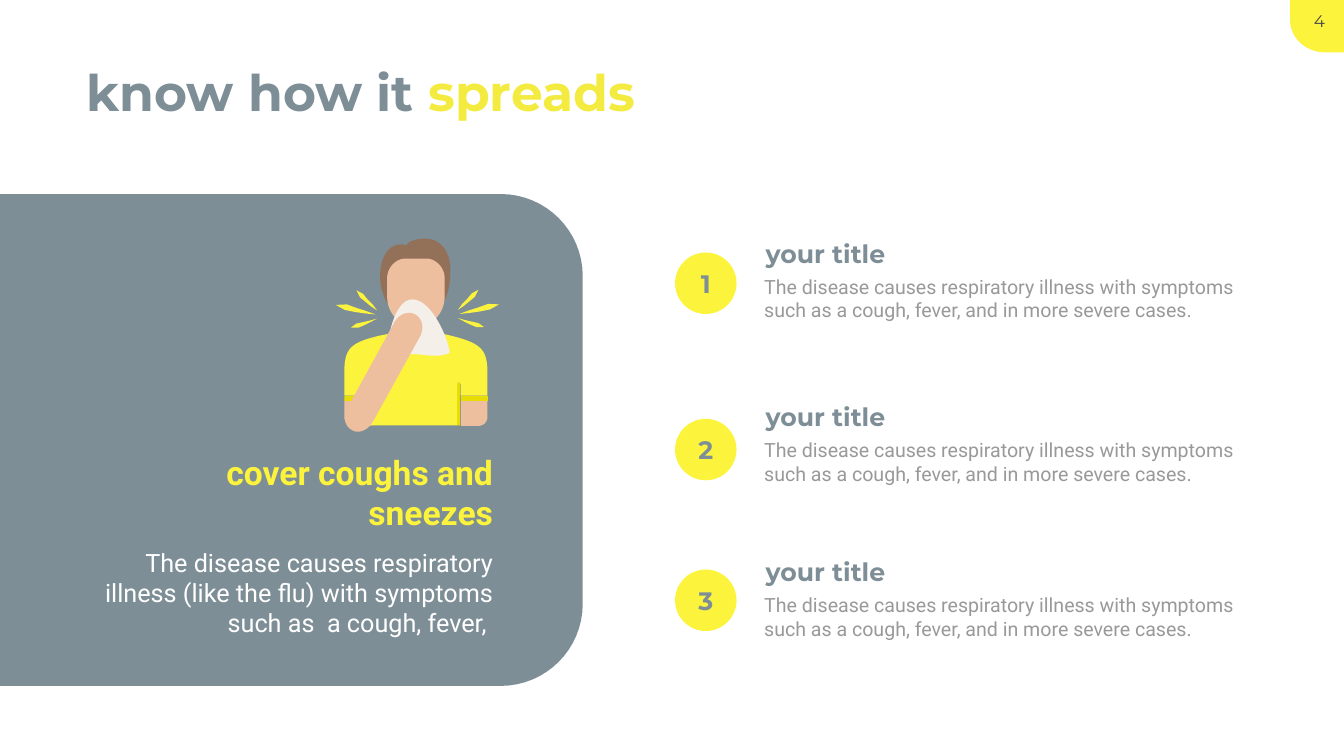
import pptx
import pptx.dml.color
import pptx.enum.shapes
import pptx.enum.text
import pptx.util

PX = 9144  # EMU per px: 100 px to the inch
YELLOW, SLATE, SKIN, WHITE = "FCF33D", "7E8E96", "EDBF9F", "FFFFFF"
DARK_YELLOW = "E7DC04"
ALIGN = pptx.enum.text.PP_ALIGN
ANCHOR = pptx.enum.text.MSO_ANCHOR
SHAPE = pptx.enum.shapes.MSO_SHAPE


def color(value):
    return pptx.dml.color.RGBColor.from_string(value)


def px(*values):
    return [pptx.util.Emu(value * PX) for value in values]


def paint(shape, fill):
    shape.shadow.inherit = False
    shape.fill.solid()
    shape.fill.fore_color.rgb = color(fill)
    shape.line.fill.background()
    return shape


def preset(slide, kind, left, top, width, height, fill):
    return paint(slide.shapes.add_shape(kind, *px(left, top, width, height)), fill)


def outline(slide, left, top, steps, fill):
    """Closed outline: a pair is a corner, six numbers are a Bezier curve."""
    points = []
    for step in steps:
        if len(step) == 2:
            points.append(step)
            continue
        start, first, second, end = points[-1], step[:2], step[2:4], step[4:]
        for i in range(1, 17):
            t = i / 16
            u = 1 - t
            points.append(tuple(
                u**3 * a + 3 * u * u * t * b + 3 * u * t * t * c + t**3 * d
                for a, b, c, d in zip(start, first, second, end)))
    points = [((left + x) * PX, (top + y) * PX) for x, y in points]
    builder = slide.shapes.build_freeform(*points[0])
    builder.add_line_segments(points[1:], close=True)
    return paint(builder.convert_to_shape(), fill)


def write(shape, runs, font, size, align=ALIGN.LEFT, bold=False, wrap=True, anchor=ANCHOR.TOP):
    frame = shape.text_frame
    frame.word_wrap = wrap
    frame.vertical_anchor = anchor
    paragraph = frame.paragraphs[0]
    paragraph.alignment = align
    for text, tint in runs:
        run = paragraph.add_run()
        run.text = text
        run.font.name = font
        run.font.size = pptx.util.Pt(size)
        run.font.bold = bold
        run.font.color.rgb = color(tint)


def text_box(slide, left, top, width, height, text, tint, font, size, **style):
    box = slide.shapes.add_textbox(*px(left, top, width, height))
    write(box, [(text, tint)], font, size, **style)


def page_tab(slide, left, top, width, height):
    outline(slide, left, top, [
        (0, 0), (width, 0), (width, height), (70, height),
        (31, height, 0, 75, 0, 40)], YELLOW)
    text_box(slide, left + 7, top + 16, width - 4, 61, "4", "494949", "Montserrat", 24,
             align=ALIGN.CENTER, wrap=False)


def heading(slide, left, top, width, height):
    title = slide.shapes.title
    title.left, title.top, title.width, title.height = px(left, top, width, height)
    write(title, [("know how it ", SLATE), ("spreads", "F4EB40")], "Montserrat", 72,
          bold=True, wrap=False)


def coughing_person(slide, left, top):
    def part(steps, fill):
        outline(slide, left, top, steps, fill)

    def bar(x, y, width, height, fill):
        preset(slide, SHAPE.RECTANGLE, left + x, top + y, width, height, fill)

    # Hair, head and neck
    part([(167, 168), (150, 168), (115, 168, 79, 116, 90, 60), (97, 24, 121, 13, 140, 20),
          (144, 8, 185, 0, 203, 14), (227, 30, 231, 63, 225, 99),
          (221, 127, 202, 168, 167, 168)], "937058")
    part([(179, 46), (139, 46), (119, 46, 102, 64, 102, 85), (102, 122),
          (102, 155, 128, 182, 159, 182), (190, 182, 216, 155, 216, 122), (216, 85),
          (216, 64, 199, 46, 179, 46)], SKIN)
    part([(221, 228), (181, 224, 195, 148, 195, 148), (123, 148),
          (123, 148, 136, 224, 97, 228), (103, 238, 130, 247, 157, 247),
          (189, 246, 215, 238, 221, 228)], SKIN)
    # Sleeve seams, collar and cuffs
    bar(69, 292, 7, 85, "D17A39")
    bar(240, 292, 7, 85, DARK_YELLOW)
    bar(69, 319, 7, 58, "FFF83F")
    part([(159, 225), (188, 225, 200, 206, 204, 194), (193, 192),
          (193, 192, 184, 215, 159, 214), (128, 212, 124, 192, 124, 192), (114, 194),
          (117, 204, 128, 225, 159, 225)], "F9923E")
    for x in (17, 248):
        bar(x, 319, 54, 10, DARK_YELLOW)
    # Forearms, mirrored about the body axis, and shirt
    forearm = [(248, 378), (283, 378), (293, 378, 301, 370, 301, 360), (301, 329), (248, 329)]
    part(forearm, SKIN)
    part([tuple(318 - v if i % 2 == 0 else v for i, v in enumerate(step))
          for step in forearm], SKIN)
    part([(69, 298), (69, 295, 70, 292, 74, 292), (76, 292, 76, 295, 76, 298), (76, 377),
          (241, 377), (241, 298), (241, 295, 240, 292, 244, 292),
          (247, 292, 248, 295, 248, 298), (248, 318), (301, 318), (301, 273),
          (301, 224, 287, 213, 220, 197), (204, 194), (200, 206, 188, 225, 159, 225),
          (128, 225, 117, 204, 113, 194), (87, 199), (29, 213, 17, 224, 17, 273),
          (17, 318), (69, 318)], YELLOW)
    # Tissue and raised arm
    part([(102, 220), (102, 220, 113, 127, 152, 127), (191, 127, 225, 209, 226, 233),
          (204, 244, 175, 236, 160, 236), (147, 235, 121, 236, 121, 236)], "F4F0E9")
    part([(158, 157), (144, 149, 125, 156, 116, 173), (23, 343), (14, 358, 17, 379, 32, 386),
          (45, 395, 64, 386, 73, 371), (167, 201), (176, 184, 172, 165, 158, 157)], SKIN)
    # Cough rays on both sides
    rays = [
        [(0, 138), (22, 137), (41, 144), (60, 150), (79, 157), (59, 155), (38, 152), (18, 148)],
        [(41, 109), (54, 116), (63, 127), (73, 137), (82, 149), (70, 141), (59, 132), (48, 123)],
        [(30, 183), (41, 175), (55, 172), (68, 169), (82, 165), (69, 172), (57, 178), (45, 183)],
    ]
    for ray in rays:
        part(ray, YELLOW)
        part([(324 - x, y - 1) for x, y in ray], YELLOW)


def advice_panel(slide, left, top, width, height):
    radius, pull = 163, 73
    outline(slide, left, top, [
        (0, 0), (width - radius, 0), (width - pull, 0, width, pull, width, radius),
        (width, height - radius),
        (width, height - pull, width - pull, height, width - radius, height),
        (0, height)], SLATE)
    text_box(slide, left + 428, top + 506, 560, 172, "cover coughs and sneezes", YELLOW,
             "Roboto", 48, align=ALIGN.RIGHT, bold=True)
    text_box(slide, left + 161, top + 696, 827, 192,
             "The disease causes respiratory illness (like the flu) with symptoms "
             "such as  a cough, fever, ", WHITE, "Roboto", 36, align=ALIGN.RIGHT)
    coughing_person(slide, left + 666, top + 82)


def numbered_item(slide, left, top, number, badge_drop):
    text_box(slide, left + 170, top, 535, 71, "your title", SLATE, "Montserrat", 36, bold=True)
    text_box(slide, left + 167, top + 73, 999, 104,
             "The disease causes respiratory illness with symptoms such as a cough, fever, "
             "and in more severe cases.", "999999", "Roboto", 28)
    badge = preset(slide, SHAPE.OVAL, left, top + badge_drop, 122, 122, YELLOW)
    write(badge, [(str(number), SLATE)], "Montserrat", 36, align=ALIGN.CENTER, bold=True,
          wrap=False, anchor=ANCHOR.MIDDLE)


def main():
    presentation = pptx.Presentation()
    presentation.slide_width, presentation.slide_height = px(2666, 1500)
    slide = presentation.slides.add_slide(presentation.slide_layouts[5])
    slide.background.fill.solid()
    slide.background.fill.fore_color.rgb = color(WHITE)
    page_tab(slide, 2559, 0, 107, 104)
    heading(slide, 161, 117, 1124, 131)
    advice_panel(slide, 0, 385, 1156, 976)
    for number, (top, badge_drop) in enumerate([(467, 34), (791, 40), (1099, 31)], 1):
        numbered_item(slide, 1339, top, number, badge_drop)
    presentation.save("out.pptx")


if __name__ == "__main__":
    main()
